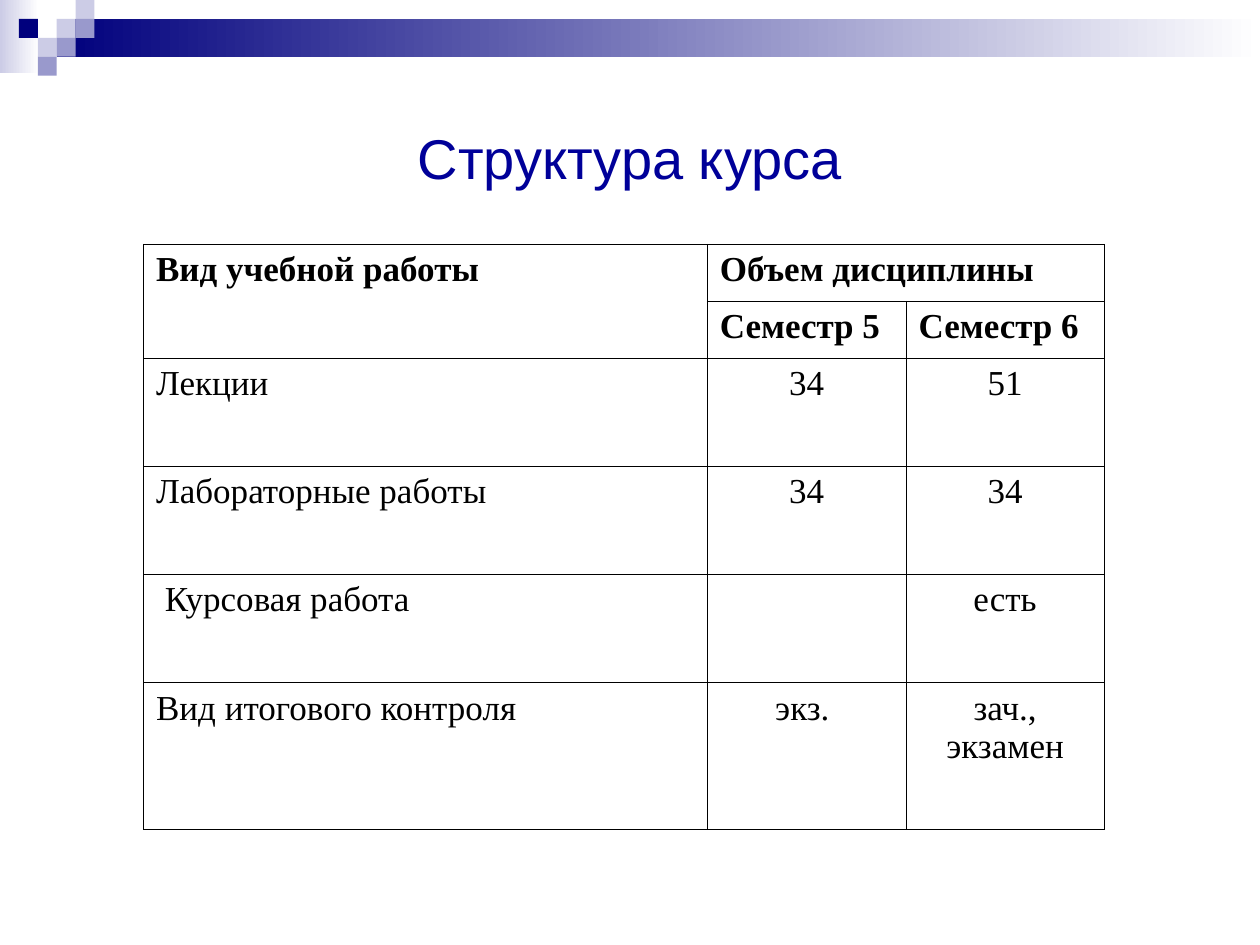
from dataclasses import dataclass

from lxml import etree
from pptx import Presentation
from pptx.dml.color import RGBColor
from pptx.enum.shapes import MSO_SHAPE
from pptx.enum.text import MSO_ANCHOR, PP_ALIGN
from pptx.oxml.ns import qn
from pptx.util import Pt

RECTANGLE = MSO_SHAPE.RECTANGLE
MIDDLE = MSO_ANCHOR.MIDDLE
LEFT, CENTER = PP_ALIGN.LEFT, PP_ALIGN.CENTER


@dataclass(frozen=True)
class Theme:
    navy: str = "00007D"
    lavender: str = "CCCCE6"
    violet: str = "9999CC"
    white: str = "FFFFFF"
    title_color: str = "000099"
    ink: str = "000000"
    title_font: str = "Arial"
    table_font: str = "Times New Roman"
    title_size: float = 32
    table_size: float = 20
    border_width: float = 0.45


def rgb(value):
    return RGBColor.from_string(value)


def write_text(text_frame, text, *, font, size, color, bold=False,
               align=LEFT, space_before=0):
    paragraph = text_frame.paragraphs[0]
    paragraph.alignment = align
    paragraph.space_before = Pt(space_before)
    run = paragraph.add_run()
    run.text = text
    run.font.name = font
    run.font.size = Pt(size)
    run.font.bold = bold
    run.font.color.rgb = rgb(color)


class SlideBuilder:
    def __init__(self, slide, theme):
        self.slide = slide
        self.theme = theme

    def rectangle(self, left, top, width, height, color, fade_to=None):
        """Add a borderless rectangle, fading left to right if fade_to is set."""
        shape = self.slide.shapes.add_shape(
            RECTANGLE, Pt(left), Pt(top), Pt(width), Pt(height))
        shape.shadow.inherit = False
        shape.line.fill.background()
        if fade_to is None:
            shape.fill.solid()
            shape.fill.fore_color.rgb = rgb(color)
            return
        shape.fill.gradient()
        shape.fill.gradient_angle = 0
        for stop, stop_color in zip(shape.fill.gradient_stops, (color, fade_to)):
            stop.color.rgb = rgb(stop_color)

    def title(self, text, left, top, width, height):
        title = self.slide.shapes.title
        title.left, title.top = Pt(left), Pt(top)
        title.width, title.height = Pt(width), Pt(height)
        title.text_frame.word_wrap = True
        title.text_frame.vertical_anchor = MIDDLE
        write_text(title.text_frame, text, font=self.theme.title_font,
                   size=self.theme.title_size, color=self.theme.title_color,
                   align=CENTER)
        # The title lies in front of the decoration.
        self.slide.shapes.element.append(title.element)

    def border(self, cell):
        properties = cell._tc.get_or_add_tcPr()
        for side in ("a:lnL", "a:lnR", "a:lnT", "a:lnB"):
            line = etree.SubElement(properties, qn(side),
                                    w=str(Pt(self.theme.border_width)))
            fill = etree.SubElement(line, qn("a:solidFill"))
            etree.SubElement(fill, qn("a:srgbClr"), val=self.theme.ink)

    def table(self, rows, left, top, column_widths, row_heights, header_rows):
        table = self.slide.shapes.add_table(
            len(rows), len(column_widths), Pt(left), Pt(top),
            Pt(sum(column_widths)), Pt(sum(row_heights))).table
        table.first_row = table.horz_banding = False
        for column, width in zip(table.columns, column_widths):
            column.width = Pt(width)
        for row, height in zip(table.rows, row_heights):
            row.height = Pt(height)
        for row_index, texts in enumerate(rows):
            is_header = row_index < header_rows
            for column_index, text in enumerate(texts):
                cell = table.cell(row_index, column_index)
                self.border(cell)
                cell.fill.background()
                if text:
                    write_text(cell.text_frame, text,
                               font=self.theme.table_font,
                               size=self.theme.table_size,
                               color=self.theme.ink, bold=is_header,
                               align=LEFT if is_header or column_index == 0
                               else CENTER)
        return table


def add_decoration(builder):
    theme = builder.theme
    step = 10.8
    builder.rectangle(0, 0, 22.3, 41.8, theme.lavender, fade_to=theme.white)
    builder.rectangle(3 * step, step, 720 - 3 * step, 2 * step,
                      theme.navy, fade_to=theme.white)
    squares = [(3, 1, theme.lavender), (4, 0, theme.lavender),
               (4, 1, theme.violet), (2, 2, theme.lavender),
               (1, 1, theme.navy), (3, 2, theme.violet), (2, 3, theme.violet)]
    for column, row, color in squares:
        builder.rectangle(column * step, row * step, step, step, color)


def main():
    presentation = Presentation()
    presentation.slide_width, presentation.slide_height = Pt(720), Pt(540)
    slide = presentation.slides.add_slide(presentation.slide_layouts[5])
    builder = SlideBuilder(slide, Theme())

    add_decoration(builder)
    builder.title("Структура курса", 36, 36, 648, 108)
    rows = [
        ("Вид учебной работы", "Объем дисциплины", ""),
        ("", "Семестр 5", "Семестр 6"),
        ("Лекции", "34", "51"),
        ("Лабораторные работы", "34", "34"),
        (" Курсовая работа", "", "есть"),
        ("Вид итогового контроля", "экз. ", "зач., экзамен"),
    ]
    table = builder.table(
        rows, left=82, top=139.6, column_widths=[322.2, 113.6, 113.2],
        row_heights=[32.5] * 2 + [61.8] * 3 + [84], header_rows=2)
    table.cell(0, 0).merge(table.cell(1, 0))
    table.cell(0, 1).merge(table.cell(0, 2))
    presentation.save("out.pptx")


if __name__ == "__main__":
    main()
